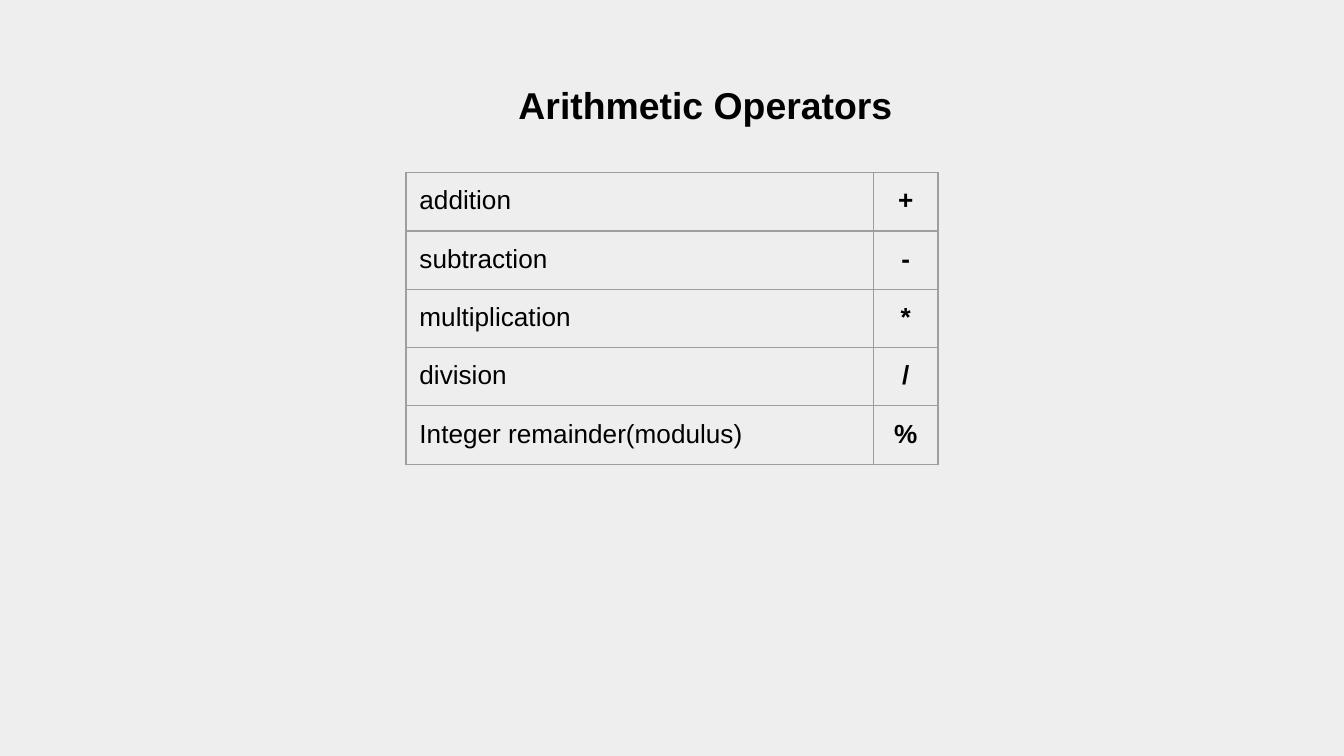
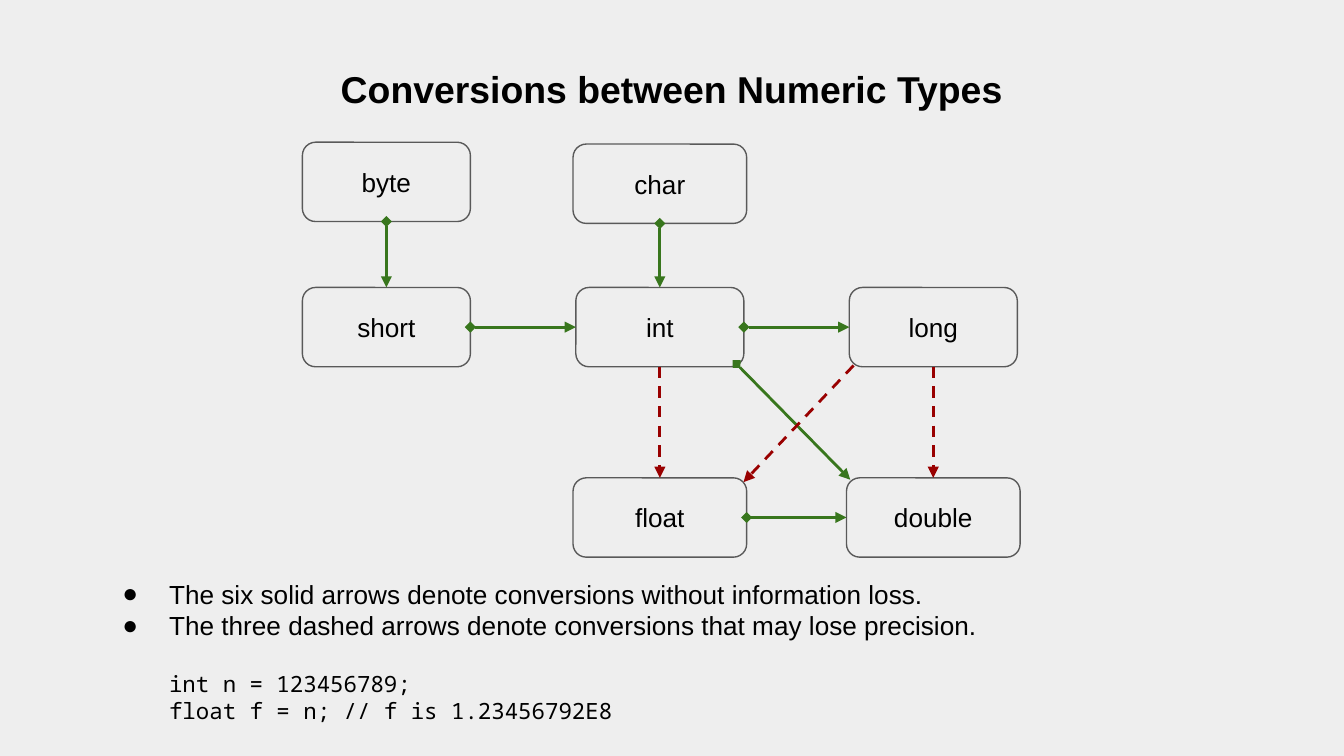
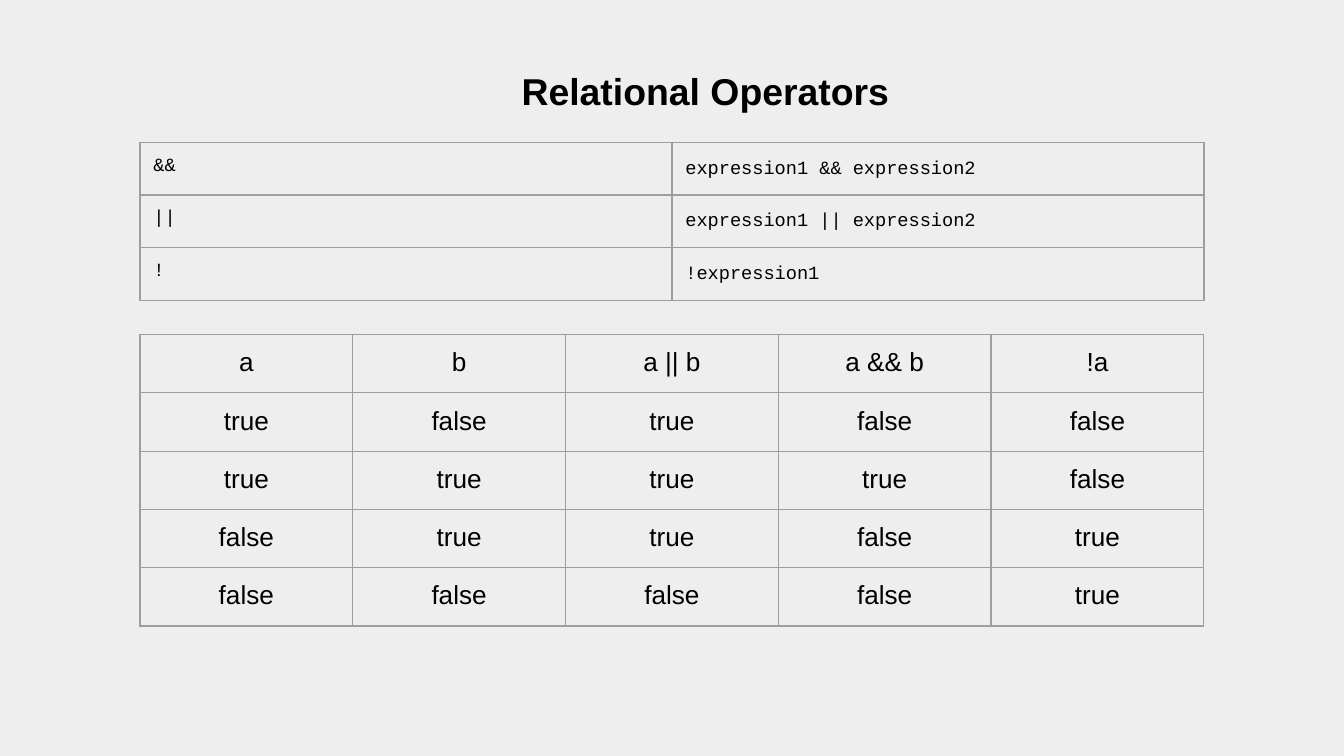
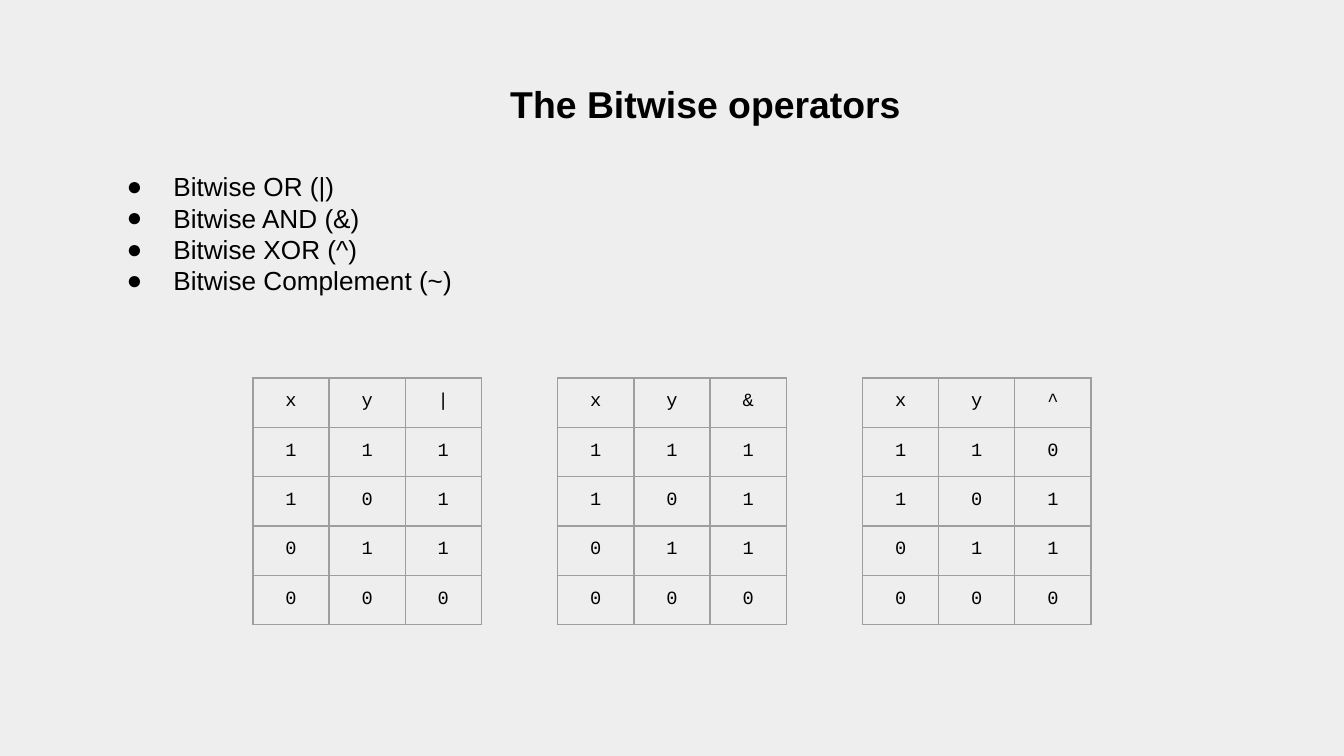
"""Build four slides on operators and numeric type conversions."""
from dataclasses import dataclass
from itertools import product

from lxml import etree
from pptx import Presentation
from pptx import util as u
from pptx.dml import color
from pptx.enum import dml, shapes, text
from pptx.oxml import ns


@dataclass(frozen=True)
class TextStyle:
    font: str
    size: float
    bold: bool = False


@dataclass(frozen=True)
class Theme:
    width: float = 720
    height: float = 405
    inset: float = 7.2
    indent: float = 36
    hanging: float = 25
    hairline: float = 0.75
    arrow_weight: float = 1.5
    line_spacing: float = 1.15
    paper: str = "EEEEEE"
    ink: str = "000000"
    grid: str = "9E9E9E"
    outline: str = "595959"
    lossless: str = "38761D"
    lossy: str = "990000"
    title: TextStyle = TextStyle("Arial", 20, True)
    body: TextStyle = TextStyle("Arial", 14)
    symbol: TextStyle = TextStyle("Arial", 14, True)
    code: TextStyle = TextStyle("Courier New", 10)
    sample: TextStyle = TextStyle("Noto Sans Mono", 12)


THEME = Theme()
LEFT, CENTER = text.PP_ALIGN.LEFT, text.PP_ALIGN.CENTER
TOP_SITE, LEFT_SITE, BOTTOM_SITE, RIGHT_SITE = range(4)


@dataclass(frozen=True)
class Column:
    width: float
    style: TextStyle
    align: text.PP_ALIGN = CENTER
    spacing: float = 1.0


def rgb(code):
    return color.RGBColor.from_string(code)


def add_child(parent, tag, **attributes):
    return etree.SubElement(parent, ns.qn(tag), attributes)


def style_paragraph(para, style, align=LEFT, spacing=1.0):
    para.alignment = align
    para.line_spacing = spacing
    for span in para.runs:
        span.font.name = style.font
        span.font.size = u.Pt(style.size)
        span.font.bold = style.bold
        span.font.color.rgb = rgb(THEME.ink)


def indent_paragraph(para, bulleted=False):
    properties = para._p.get_or_add_pPr()
    properties.set("marL", str(u.Pt(THEME.indent)))
    properties.set("indent", str(-u.Pt(THEME.hanging) if bulleted else 0))
    if bulleted:
        bullet_color = add_child(properties, "a:buClr")
        add_child(bullet_color, "a:srgbClr", val=THEME.ink)
        add_child(properties, "a:buFont", typeface=THEME.body.font)
        add_child(properties, "a:buChar", char="●")


def set_insets(target):
    target.margin_left = target.margin_right = u.Pt(THEME.inset)
    target.margin_top = target.margin_bottom = u.Pt(THEME.inset)


def add_text_box(page, left, top, width, height, lines):
    box = page.shapes.add_textbox(*map(u.Pt, (left, top, width, height)))
    frame = box.text_frame
    frame.word_wrap = True
    set_insets(frame)
    frame.text = "\n".join(lines)
    return frame.paragraphs


def add_page(deck, title, title_top, title_left=0, indented=True):
    page = deck.slides.add_slide(deck.slide_layouts[6])
    page.background.fill.solid()
    page.background.fill.fore_color.rgb = rgb(THEME.paper)
    title_width = THEME.width - 2 * title_left
    para = add_text_box(page, title_left, title_top, title_width, 45, [title])[0]
    if indented:
        indent_paragraph(para)
    style_paragraph(para, THEME.title, CENTER, THEME.line_spacing)
    return page


def add_bullets(page, left, top, width, height, bullets, code_lines=()):
    paras = add_text_box(page, left, top, width, height, [*bullets, *code_lines])
    for index, para in enumerate(paras):
        bulleted = index < len(bullets)
        indent_paragraph(para, bulleted)
        style_paragraph(para, THEME.body if bulleted else THEME.sample)
        if index == len(bullets):
            para.space_before = u.Pt(16)


def add_borders(cell):
    properties = cell._tc.get_or_add_tcPr()
    for index, side in enumerate(("a:lnL", "a:lnR", "a:lnT", "a:lnB")):
        border = etree.Element(ns.qn(side), w=str(u.Pt(THEME.hairline)))
        add_child(add_child(border, "a:solidFill"), "a:srgbClr", val=THEME.grid)
        properties.insert(index, border)


def add_grid(page, left, top, row_height, columns, rows):
    width = sum(column.width for column in columns)
    size = map(u.Pt, (left, top, width, row_height * len(rows)))
    table = page.shapes.add_table(len(rows), len(columns), *size).table
    table.first_row = table.horz_banding = False
    for table_column, column in zip(table.columns, columns):
        table_column.width = u.Pt(column.width)
    for table_row, values in zip(table.rows, rows):
        table_row.height = u.Pt(row_height)
        for cell, column, value in zip(table_row.cells, columns, values):
            cell.fill.background()
            set_insets(cell)
            cell.text_frame.text = value
            para = cell.text_frame.paragraphs[0]
            style_paragraph(para, column.style, column.align, column.spacing)
            add_borders(cell)


def add_node(page, name, center, top, width):
    bounds = map(u.Pt, (center - width / 2, top, width, 42.5))
    node = page.shapes.add_shape(shapes.MSO_SHAPE.ROUNDED_RECTANGLE, *bounds)
    node.shadow.inherit = False
    node.fill.solid()
    node.fill.fore_color.rgb = rgb(THEME.paper)
    node.line.color.rgb = rgb(THEME.outline)
    node.line.width = u.Pt(THEME.hairline)
    frame = node.text_frame
    set_insets(frame)
    frame.vertical_anchor = text.MSO_ANCHOR.MIDDLE
    frame.text = name
    style_paragraph(frame.paragraphs[0], THEME.body, CENTER)
    return node


def add_arrow(page, lossy, start=(0, 0), end=(0, 0)):
    ends = map(u.Pt, (*start, *end))
    arrow = page.shapes.add_connector(shapes.MSO_CONNECTOR.STRAIGHT, *ends)
    arrow.line.color.rgb = rgb(THEME.lossy if lossy else THEME.lossless)
    arrow.line.width = u.Pt(THEME.arrow_weight)
    line = arrow.line._get_or_add_ln()
    if lossy:
        arrow.line.dash_style = dml.MSO_LINE.DASH
    else:
        add_child(line, "a:headEnd", type="diamond")
    add_child(line, "a:tailEnd", type="triangle")
    add_child(arrow._element.spPr, "a:effectLst")
    return arrow


def link_nodes(page, source, target, downward, lossy=False):
    arrow = add_arrow(page, lossy)
    arrow.begin_connect(source, BOTTOM_SITE if downward else RIGHT_SITE)
    arrow.end_connect(target, TOP_SITE if downward else LEFT_SITE)


def build_arithmetic(deck):
    page = add_page(deck, "Arithmetic Operators", 33)
    columns = [Column(250.5, THEME.body, LEFT), Column(34.5, THEME.symbol)]
    names = ("addition", "subtraction", "multiplication", "division",
             "Integer remainder(modulus)")
    add_grid(page, 217.5, 92.5, 30.1, columns, list(zip(names, "+-*/%")))


def build_conversions(deck):
    page = add_page(deck, "Conversions between Numeric Types", 24.8, indented=False)
    first, middle, last = (207 + 146.5 * index for index in range(3))
    narrow, wide = 90, 93
    layout = {
        "byte": (first, 76.2, narrow), "char": (middle, 77.2, wide),
        "short": (first, 154, narrow), "int": (middle, 154, narrow),
        "long": (last, 154, narrow),
        "float": (middle, 256, wide), "double": (last, 256, wide),
    }
    nodes = {name: add_node(page, name, *place) for name, place in layout.items()}
    for source, target, downward, lossy in (
        ("byte", "short", True, False), ("char", "int", True, False),
        ("short", "int", False, False), ("int", "long", False, False),
        ("float", "double", False, False),
        ("int", "float", True, True), ("long", "double", True, True),
    ):
        link_nodes(page, nodes[source], nodes[target], downward, lossy)
    add_arrow(page, False, (394.6, 195), (455.5, 257))
    add_arrow(page, True, (457.3, 195.8), (398.3, 258.3))
    add_bullets(
        page, 47.5, 302.4, 630.7, 94.3,
        ["The six solid arrows denote conversions without information loss.",
         "The three dashed arrows denote conversions that may lose precision."],
        ["int n = 123456789;", "float f = n; // f is 1.23456792E8"])


def build_relational(deck):
    page = add_page(deck, "Relational Operators", 25.9)
    left, width = 75, 570
    syntax = [Column(width / 2, THEME.code, LEFT),
              Column(width / 2, THEME.code, LEFT, THEME.line_spacing)]
    add_grid(page, left, 76.2, 27.4, syntax, [
        ("&&", "expression1 && expression2"),
        ("||", "expression1 || expression2"),
        ("!", "!expression1"),
    ])
    pairs = [(True, False), (True, True), (False, True), (False, False)]
    truth = [("a", "b", "a || b", "a && b", "!a")]
    for a, b in pairs:
        truth.append([str(value).lower() for value in (a, b, a or b, a and b, not a)])
    add_grid(page, left, 179.2, 30.1, [Column(width / 5, THEME.body)] * 5, truth)


def build_bitwise(deck):
    page = add_page(deck, "The Bitwise operators", 32.7, title_left=24)
    operators = {"|": lambda x, y: x | y, "&": lambda x, y: x & y,
                 "^": lambda x, y: x ^ y}
    shown_results = {"&": "1110"}
    for index, (symbol, combine) in enumerate(operators.items()):
        pairs = list(product((1, 0), repeat=2))
        results = shown_results.get(symbol) or [str(combine(*pair)) for pair in pairs]
        rows = [("x", "y", symbol)]
        rows += [(str(x), str(y), result) for (x, y), result in zip(pairs, results)]
        columns = [Column(40.8, THEME.code)] * 3
        add_grid(page, 135.5 + 163.3 * index, 202.5, 25.7, columns, rows)
    add_bullets(page, 49.8, 84.2, 228.2, 82, [
        "Bitwise OR (|)", "Bitwise AND (&)", "Bitwise XOR (^)",
        "Bitwise Complement (~)"])


def main():
    deck = Presentation()
    deck.slide_width, deck.slide_height = u.Pt(THEME.width), u.Pt(THEME.height)
    build_arithmetic(deck)
    build_conversions(deck)
    build_relational(deck)
    build_bitwise(deck)
    deck.save("out.pptx")


if __name__ == "__main__":
    main()
